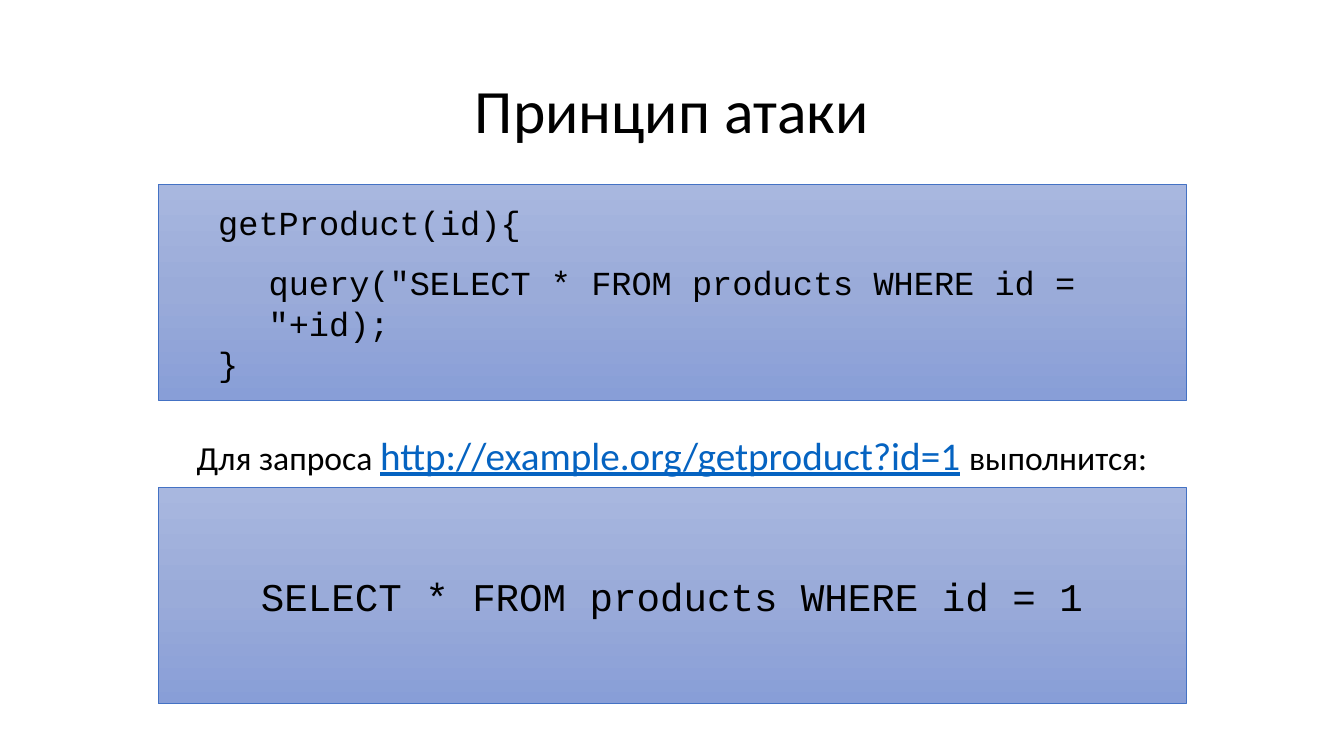
from copy import deepcopy

from pptx import Presentation
from pptx.dml.color import RGBColor
from pptx.enum.shapes import MSO_SHAPE
from pptx.enum.text import MSO_ANCHOR, PP_ALIGN
from pptx.oxml.ns import qn
from pptx.util import Cm, Pt

RECT = MSO_SHAPE.RECTANGLE
MIDDLE = MSO_ANCHOR.MIDDLE
LEFT, CENTER = PP_ALIGN.LEFT, PP_ALIGN.CENTER
TITLE_ONLY = 5

COLORS = {"text": "000000", "link": "0563C1", "border": "4472C4"}
GRADIENT = [(0, "A8B7DF"), (0.5, "9AABD9"), (1, "889ED7")]

PLAIN = {"name": "Calibri", "size": Pt(24)}
LINK = {"name": "Calibri", "size": Pt(28), "underline": True}
CODE = {"name": "Courier New", "size": Pt(24)}
BIG_CODE = {"name": "Courier New", "size": Pt(28)}
HEADING = {"name": "Calibri", "size": Pt(44), "bold": False}

# Paragraph: (runs, level, paragraph format); run: (text, font, colour)
TITLE = [([("Принцип атаки", HEADING, "text")], 0,
          {"alignment": CENTER, "line_spacing": 0.9})]
REQUEST = [([("Для запроса ", PLAIN, "text"),
             ("http://example.org/getproduct?id=1", LINK, "link"),
             (" ", BIG_CODE | {"name": "Calibri"}, "text"),
             ("выполнится:", PLAIN, "text")], 0,
            {"alignment": CENTER, "line_spacing": 0.9})]
FUNCTION = [
    ([("getProduct(id){", CODE, "text")], 1, {"alignment": LEFT}),
    ([('query("SELECT * FROM products WHERE id = "+id);', CODE, "text")], 2,
     {"alignment": LEFT, "space_before": Pt(14.2)}),
    ([("}", CODE, "text")], 1, {"alignment": LEFT}),
]
RESULT = [([("SELECT * FROM products WHERE id = 1", BIG_CODE, "text")], 0,
           {"alignment": CENTER})]

SLIDE_W, SLIDE_H = Cm(33.87), Cm(19.05)
TEXT_W, BOX_W, BOX_H = Cm(29.21), Cm(25.91), Cm(5.44)
INDENT = Cm(1.27)
TITLE_TOP, TITLE_H = Cm(1.02), Cm(3.68)
REQUEST_TOP, REQUEST_H = Cm(10.85), Cm(1.35)
CODE_BOXES = [(Cm(4.65), FUNCTION), (Cm(12.29), RESULT)]


def apply(obj, values):
    """Set every attribute named in values."""
    for name, value in values.items():
        setattr(obj, name, value)


def place(sp, top, width, height):
    """Centre a shape across the slide."""
    apply(sp, {"left": (SLIDE_W - width) // 2, "top": top,
               "width": width, "height": height})


def write(sp, paragraphs):
    """Fill a shape with formatted paragraphs."""
    tf = sp.text_frame
    apply(tf, {"word_wrap": True, "vertical_anchor": MIDDLE})
    for i, (runs, level, values) in enumerate(paragraphs):
        p = tf.add_paragraph() if i else tf.paragraphs[0]
        apply(p, values | {"level": level})
        if level:
            p._p.get_or_add_pPr().set("marL", str(INDENT * level))
        for text, font, color in runs:
            r = p.add_run()
            r.text = text
            apply(r.font, font)
            r.font.color.rgb = RGBColor.from_string(COLORS[color])


def fill_gradient(sp):
    """Give a shape the vertical three-stop gradient."""
    sp.fill.gradient()
    sp.fill.gradient_angle = 270
    stops = sp._element.spPr.find(".//" + qn("a:gsLst"))
    stops.insert(1, deepcopy(stops[0]))
    for stop, (position, color) in zip(sp.fill.gradient_stops, GRADIENT):
        stop.position = position
        stop.color.rgb = RGBColor.from_string(color)


def add_code_box(slide, top, paragraphs):
    """Add a bordered gradient box holding code."""
    sp = slide.shapes.add_shape(RECT, 0, 0, BOX_W, BOX_H)
    place(sp, top, BOX_W, BOX_H)
    sp.shadow.inherit = False
    fill_gradient(sp)
    sp.line.color.rgb = RGBColor.from_string(COLORS["border"])
    sp.line.width = Pt(0.5)
    write(sp, paragraphs)


prs = Presentation()
prs.slide_width, prs.slide_height = SLIDE_W, SLIDE_H
slide = prs.slides.add_slide(prs.slide_layouts[TITLE_ONLY])

title = slide.shapes.title
place(title, TITLE_TOP, TEXT_W, TITLE_H)
write(title, TITLE)

request = slide.shapes.add_textbox(0, 0, TEXT_W, REQUEST_H)
place(request, REQUEST_TOP, TEXT_W, REQUEST_H)
write(request, REQUEST)

for top, paragraphs in CODE_BOXES:
    add_code_box(slide, top, paragraphs)

prs.save("out.pptx")
